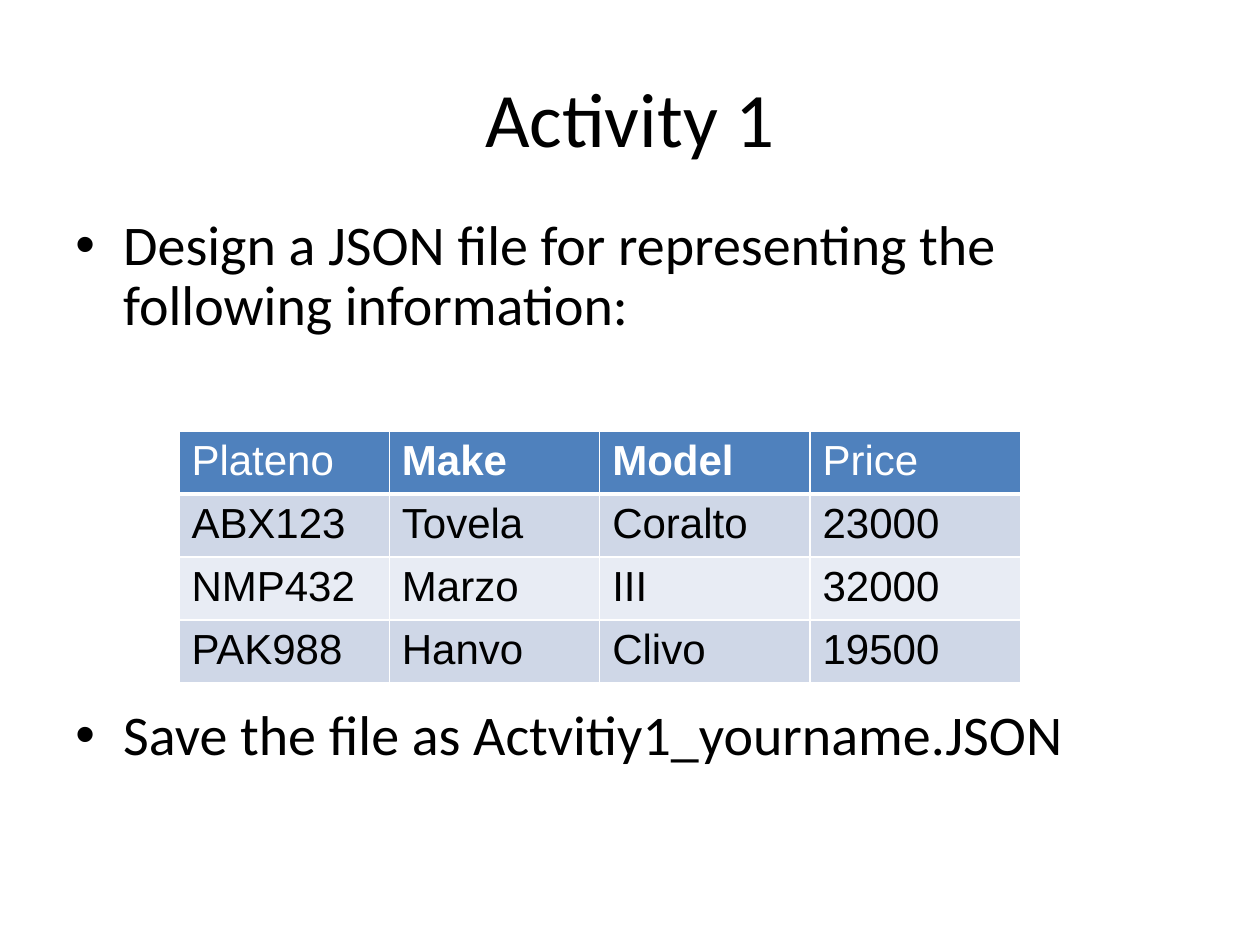
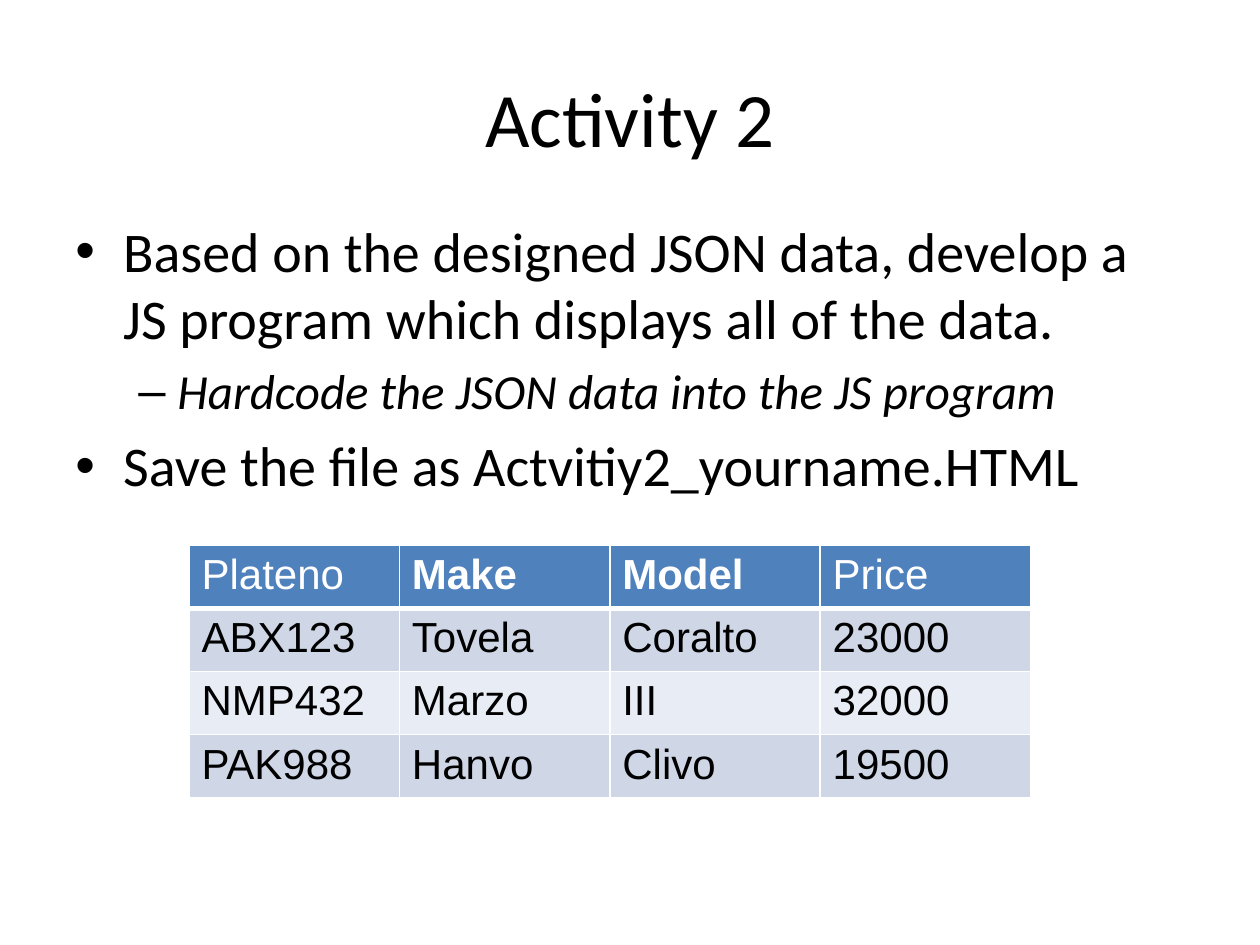
from lxml import etree
from pptx import Presentation
from pptx.dml.color import RGBColor
from pptx.enum import text
from pptx.oxml.ns import qn
from pptx.util import Inches, Pt

BLACK = RGBColor(0x00, 0x00, 0x00)
WHITE = RGBColor(0xFF, 0xFF, 0xFF)
HEADER_BLUE = RGBColor(0x4F, 0x81, 0xBD)
BAND_DARK = RGBColor(0xCF, 0xD7, 0xE7)
BAND_LIGHT = RGBColor(0xE8, 0xEC, 0xF4)
TEXT_FONT, TABLE_FONT = "Calibri", "Arial"

COLUMN_WIDTH, ROW_HEIGHT = 1.67, 0.47
CARS = [
    ("Plateno", "Make", "Model", "Price"),
    ("ABX123", "Tovela", "Coralto", "23000"),
    ("NMP432", "Marzo", "III", "32000"),
    ("PAK988", "Hanvo", "Clivo", "19500"),
]
BOLD_HEADERS = ("Make", "Model")

# Level: bullet, left margin, hanging indent, text size, italic
LEVELS = [("•", 0.38, 0.38, 32, False), ("–", 0.81, 0.31, 28, True)]

# Each bullet: level, space before in points, text
ACTIVITIES = [
    {
        "title": "Activity 1",
        "line_spacing": 0.9,
        "bullets": [
            (0, 0, "Design a JSON file for representing the following information:"),
            (0, 211, "Save the file as Actvitiy1_yourname.JSON"),
        ],
        "table_at": (1.42, 3.42),
    },
    {
        "title": "Activity 2",
        "line_spacing": 1.0,
        "bullets": [
            (0, 0, "Based on the designed JSON data, develop a JS program "
                   "which displays all of the data."),
            (1, 5.6, "Hardcode the JSON data into the JS program"),
            (0, 6.4, "Save the file as Actvitiy2_yourname.HTML"),
        ],
        "table_at": (1.5, 4.33),
    },
]


def style_run(para, font_name, size, color, bold=False, italic=False):
    font = para.runs[0].font
    font.name, font.size = font_name, Pt(size)
    font.bold, font.italic = bold, italic
    font.color.rgb = color


def add_white_borders(cell, top, bottom):
    """Draw thin white sides; top and bottom widths are in points."""
    for side, width in (("L", 1), ("R", 1), ("T", top), ("B", bottom)):
        line = etree.SubElement(cell._tc.get_or_add_tcPr(), qn(f"a:ln{side}"), w=str(Pt(width)))
        fill = etree.SubElement(line, qn("a:solidFill"))
        etree.SubElement(fill, qn("a:srgbClr"), val=str(WHITE))


deck = Presentation()
deck.slide_width, deck.slide_height = Inches(10), Inches(7.5)

for activity in ACTIVITIES:
    page = deck.slides.add_slide(deck.slide_layouts[6])

    title_box = page.shapes.add_textbox(Inches(0.5), Inches(0.3), Inches(9), Inches(1.25))
    title_box.text_frame.word_wrap = True
    title_box.text_frame.vertical_anchor = text.MSO_ANCHOR.MIDDLE
    title_box.text_frame.text = activity["title"]
    title = title_box.text_frame.paragraphs[0]
    title.alignment = text.PP_ALIGN.CENTER
    style_run(title, TEXT_FONT, 44, BLACK)

    body_box = page.shapes.add_textbox(Inches(0.5), Inches(1.67), Inches(9), Inches(4.95))
    body = body_box.text_frame
    body.word_wrap = True
    for index, (level, space_before, words) in enumerate(activity["bullets"]):
        bullet, margin, hanging, size, italic = LEVELS[level]
        para = body.add_paragraph() if index else body.paragraphs[0]
        para.text = words
        para.level = level
        para.line_spacing = activity["line_spacing"]
        para.space_before = Pt(space_before)
        style_run(para, TEXT_FONT, size, BLACK, italic=italic)
        properties = para._p.get_or_add_pPr()
        properties.set("marL", str(Inches(margin)))
        properties.set("indent", str(-Inches(hanging)))
        etree.SubElement(properties, qn("a:buFont"), typeface="Arial")
        etree.SubElement(properties, qn("a:buChar"), char=bullet)

    left, top = activity["table_at"]
    columns, rows = len(CARS[0]), len(CARS)
    table = page.shapes.add_table(
        rows, columns, Inches(left), Inches(top),
        Inches(columns * COLUMN_WIDTH), Inches(rows * ROW_HEIGHT)).table
    for column in table.columns:
        column.width = Inches(COLUMN_WIDTH)
    for row_index, car in enumerate(CARS):
        table.rows[row_index].height = Inches(ROW_HEIGHT)
        is_header = row_index == 0
        band = BAND_DARK if row_index % 2 else BAND_LIGHT
        for column_index, value in enumerate(car):
            cell = table.cell(row_index, column_index)
            add_white_borders(cell, 3 if row_index == 1 else 1, 3 if is_header else 1)
            cell.fill.solid()
            cell.fill.fore_color.rgb = HEADER_BLUE if is_header else band
            cell.text_frame.text = value
            style_run(cell.text_frame.paragraphs[0], TABLE_FONT, 24,
                      WHITE if is_header else BLACK, bold=value in BOLD_HEADERS)

deck.save("out.pptx")
